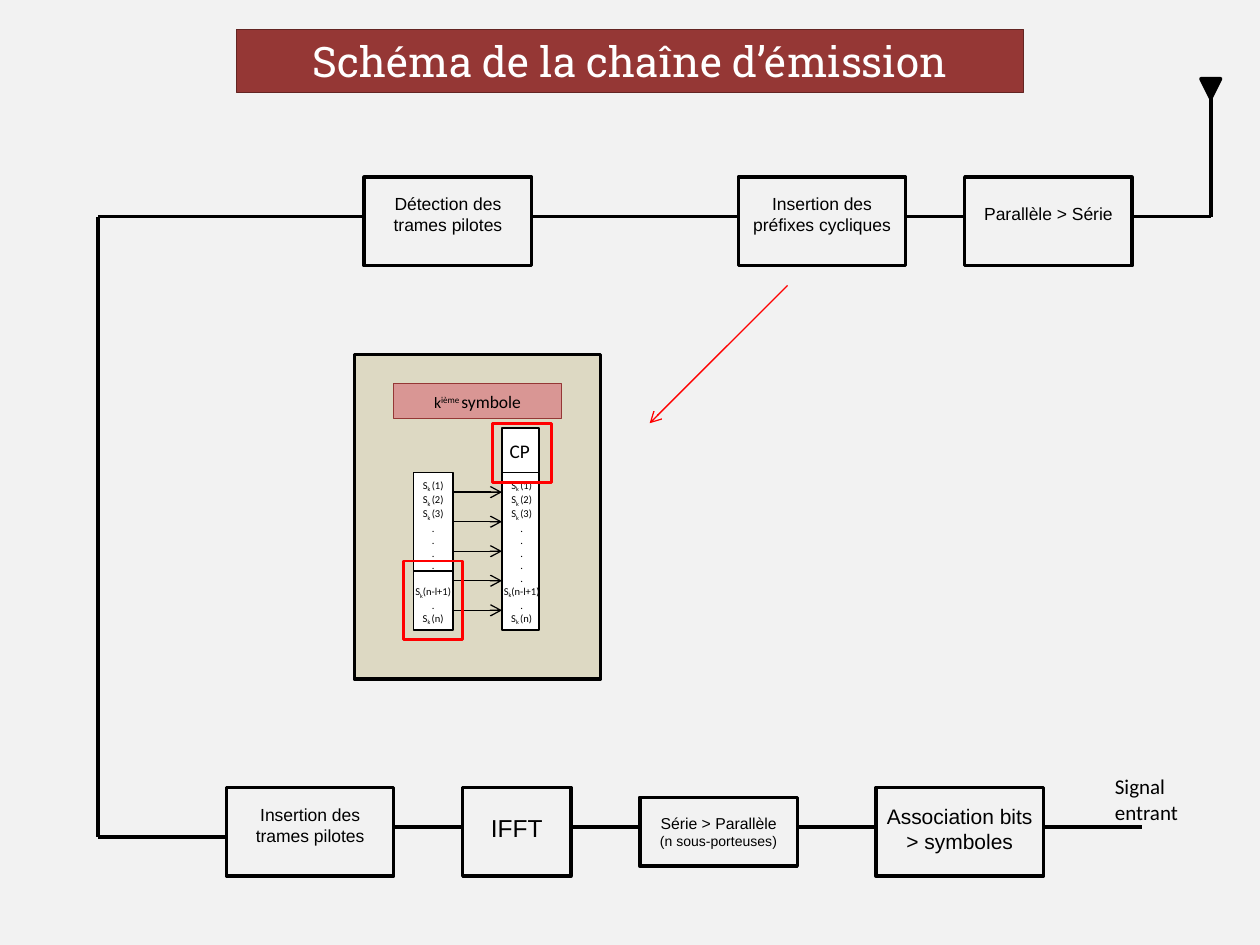
from lxml import etree
from pptx import Presentation
from pptx import util as u
from pptx.dml.color import RGBColor
from pptx.enum import shapes, text
from pptx.oxml import ns

COLUMNS = 128
CELL = u.Inches(10) / COLUMNS
BLACK = RGBColor(0x00, 0x00, 0x00)
WHITE = RGBColor(0xFF, 0xFF, 0xFF)
RED = RGBColor(0xFF, 0x00, 0x00)
BRICK = RGBColor(0x95, 0x37, 0x35)
MAROON = RGBColor(0x63, 0x25, 0x23)
ROSE = RGBColor(0xD9, 0x96, 0x94)
SAND = RGBColor(0xDD, 0xD9, 0xC3)
PAPER = RGBColor(0xF2, 0xF2, 0xF2)
RECTANGLE = shapes.MSO_SHAPE.RECTANGLE


def cells(*numbers):
    """Turn grid cells into lengths."""
    return [u.Emu(round(number * CELL)) for number in numbers]


def add_block(slide, box, fill=None, line=BLACK, width=2, kind=RECTANGLE):
    """Draw a preset shape over a box of cells."""
    shape = slide.shapes.add_shape(kind, *cells(*box))
    shape.shadow.inherit = False
    if fill is None:
        shape.fill.background()
    else:
        shape.fill.solid()
        shape.fill.fore_color.rgb = fill
    shape.line.color.rgb = line
    shape.line.width = u.Pt(width)
    return shape


def add_wire(slide, start, end, color=BLACK, width=2.25, arrow=False):
    """Draw a straight line between two grid points."""
    connector = slide.shapes.add_connector(
        shapes.MSO_CONNECTOR.STRAIGHT, *cells(*start, *end))
    connector.line.color.rgb = color
    connector.line.width = u.Pt(width)
    if arrow:
        tail = etree.SubElement(connector.line._get_or_add_ln(), ns.qn("a:tailEnd"))
        tail.set("type", "arrow")
    etree.SubElement(connector._element.spPr, ns.qn("a:effectLst"))


def add_text_box(slide, box):
    """Add a wrapping text box over a box of cells."""
    shape = slide.shapes.add_textbox(*cells(*box))
    shape.text_frame.word_wrap = True
    return shape


def style(paragraph, size, font="Arial", color=BLACK, align=text.PP_ALIGN.CENTER):
    """Set the font and alignment of a paragraph."""
    paragraph.alignment = align
    paragraph.font.size = u.Pt(size)
    paragraph.font.name = font
    paragraph.font.color.rgb = color


def add_run(paragraph, words, baseline=0):
    """Add a run, raised or lowered by a percentage."""
    run = paragraph.add_run()
    run.text = words
    if baseline:
        run._r.get_or_add_rPr().set("baseline", str(baseline * 1000))
    return run


def write(shape, lines, **look):
    """Write (words, size) lines into a shape."""
    frame = shape.text_frame
    for number, (words, size) in enumerate(lines):
        paragraph = frame.add_paragraph() if number else frame.paragraphs[0]
        add_run(paragraph, words)
        style(paragraph, size, **look)


def add_title(slide, box):
    """Draw the title banner."""
    banner = add_block(slide, box, BRICK, MAROON, 0.75)
    write(banner, [("Schéma de la chaîne d’émission", 24)],
          font="Roboto Slab", color=WHITE)


def add_chain(slide, left, top, wire, end, stages):
    """Draw a row of stages joined by a wire, from left to end."""
    x = left
    for offset, drop, width, height, lead, lines in stages:
        add_wire(slide, (x, top + wire[x == left]), (left + offset, top + wire[x == left]))
        stage = add_block(slide, (left + offset, top + drop, width, height))
        frame = stage.text_frame
        frame.vertical_anchor = text.MSO_ANCHOR.TOP
        frame.margin_left = frame.margin_right = u.Inches(0.05)
        frame.margin_top = u.Inches(0.05) + cells(lead)[0]
        write(stage, lines)
        x = left + offset + width
    add_wire(slide, (x, top + wire[0]), (end, top + wire[0]))


def add_antenna(slide, x, top, bottom):
    """Draw the mast and its inverted triangle."""
    add_wire(slide, (x, bottom), (x, top + 2))
    head = add_block(slide, (x - 1, top, 2, 2), BLACK,
                     kind=shapes.MSO_SHAPE.ISOSCELES_TRIANGLE)
    head.rotation = 180


def add_samples(slide, box, dots):
    """List the samples of a symbol, with a run of dots in the middle."""
    lines = [("k ", "(1)"), ("k ", "(2)"), ("k ", "(3)"), *["."] * dots,
             ("k", "(n-l+1)"), ".", ("k ", "(n)")]
    frame = add_text_box(slide, box).text_frame
    for number, line in enumerate(lines):
        paragraph = frame.add_paragraph() if number else frame.paragraphs[0]
        if line == ".":
            add_run(paragraph, line)
        else:
            index, argument = line
            add_run(paragraph, "S")
            add_run(paragraph, index, -25)
            add_run(paragraph, argument)
        if number == 3 + dots:
            paragraph.space_before = u.Pt(7.3 * (5 - dots))
        style(paragraph, 6, "Calibri")


def add_prefix_panel(slide, left, top):
    """Show how the cyclic prefix is copied from the end of a symbol."""
    add_block(slide, (left, top, 25, 33), SAND)
    label = add_block(slide, (left + 4, top + 3, 17, 3.5), ROSE, BRICK, 0.5)
    paragraph = label.text_frame.paragraphs[0]
    add_run(paragraph, "k")
    add_run(paragraph, "ième ", 30)
    add_run(paragraph, "symbole").font.size = u.Pt(10)
    style(paragraph, 9, "Calibri")

    source, target, stack = left + 6, left + 15, top + 12
    add_block(slide, (target, stack - 4.5, 3.75, 4.5), WHITE, width=1)
    prefix = add_text_box(slide, (target - 1, stack - 4, 5.6, 3.7))
    write(prefix, [("CP", 11)], font="Calibri")
    for x, width, shift, dots in [(source, 4, 2, 4), (target, 3.75, 2, 5)]:
        add_block(slide, (x, stack, width, 16), WHITE, width=1)
        add_samples(slide, (x - shift, stack, 8, 15.5), dots)
    for row in range(5):
        y = stack + 2 + 3 * row
        add_wire(slide, (source + 4, y), (target, y), width=0.75, arrow=True)
    add_wire(slide, (source, stack + 10), (source + 4, stack + 10), width=0.75)
    for frame in [(source - 1, stack + 9, 6, 8), (target - 1, stack - 5, 6, 6)]:
        add_block(slide, frame, line=RED, width=1.5)


def main():
    """Build the transmission chain slide."""
    presentation = Presentation()
    presentation.slide_width, presentation.slide_height = u.Inches(10), u.Inches(7.5)
    slide = presentation.slides.add_slide(presentation.slide_layouts[6])
    slide.background.fill.solid()
    slide.background.fill.fore_color.rgb = PAPER

    add_title(slide, (24, 3, 80, 6.4))
    add_chain(slide, 10, 18, (4, 4), 123, [
        (27, 0, 17, 9, 1, [("Détection des trames pilotes", 10)]),
        (65, 0, 17, 9, 1, [("Insertion des préfixes cycliques", 10)]),
        (88, 0, 17, 9, 2, [("Parallèle > Série", 10)])])
    add_chain(slide, 10, 80, (4, 5), 116, [
        (13, 0, 17, 9, 1, [("Insertion des trames pilotes", 10)]),
        (37, 0, 11, 9, 2, [("IFFT", 14)]),
        (55, 1, 16, 7, 1, [("Série > Parallèle", 9), ("(n sous-porteuses)", 8)]),
        (79, 0, 17, 9, 1, [("Association bits > symboles", 12)])])
    add_wire(slide, (10, 22), (10, 85))
    add_antenna(slide, 123, 8, 22)
    add_prefix_panel(slide, 36, 36)
    add_wire(slide, (80, 29), (66, 43), RED, 0.75, arrow=True)
    signal = add_text_box(slide, (112, 78, 13, 6.4))
    write(signal, [("Signal entrant", 12)], font="Calibri", align=text.PP_ALIGN.LEFT)
    presentation.save("out.pptx")


if __name__ == "__main__":
    main()
